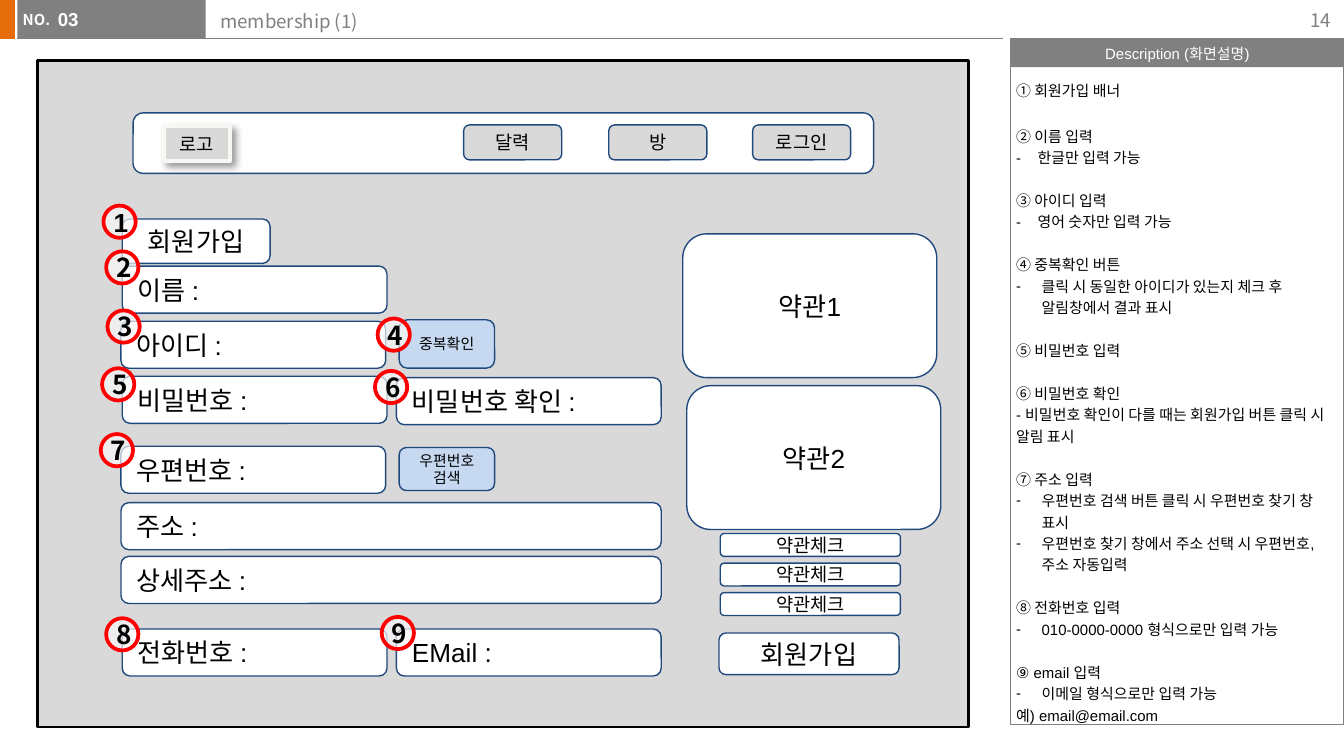
from lxml.etree import SubElement
from pptx import Presentation
from pptx.dml.color import RGBColor
from pptx.enum.shapes import MSO_CONNECTOR, MSO_SHAPE as SHAPE
from pptx.enum.text import MSO_ANCHOR as ANCHOR, MSO_AUTO_SIZE, PP_ALIGN as ALIGN
from pptx.oxml.ns import qn
from pptx.util import Inches, Pt

WHITE = RGBColor(0xFF, 0xFF, 0xFF)
BLACK = RGBColor(0, 0, 0)
GRAY = RGBColor(0x80, 0x80, 0x80)
LIGHT_GRAY = RGBColor(0xD9, 0xD9, 0xD9)
ORANGE = RGBColor(0xE4, 0x6C, 0x0A)
NAVY = RGBColor(0x1F, 0x49, 0x7D)
PALE_BLUE = RGBColor(0xC6, 0xD9, 0xF1)
RED = RGBColor(0xFF, 0, 0)
OFF_WHITE = RGBColor(0xF8, 0xF8, 0xF8)
CREAM = RGBColor(0xF8, 0xF7, 0xF3)
SANS, KOREAN = "Arial", "Noto Sans CJK KR"

WIDE = 10
TALL = WIDE * 9 / 16
HEADER = 0.29
PANEL_LEFT, PANEL_WIDTH = 7.52, 2.48

PLAIN, TABBED, BULLET = 0, 0.16, 0.19
DESCRIPTION = [
    [("① 회원가입 배너", PLAIN)],
    [("② 이름 입력", PLAIN), ("-\t한글만 입력 가능", TABBED)],
    [("③ 아이디 입력", PLAIN), ("-\t영어 숫자만 입력 가능", TABBED)],
    [("④ 중복확인 버튼", PLAIN),
     ("클릭 시 동일한 아이디가 있는지 체크 후 알림창에서 결과 표시", BULLET)],
    [("⑤ 비밀번호 입력", PLAIN)],
    [("⑥ 비밀번호 확인", PLAIN),
     ("- 비밀번호 확인이 다를 때는 회원가입 버튼 클릭 시 알림 표시", PLAIN)],
    [("⑦ 주소 입력", PLAIN),
     ("우편번호 검색 버튼 클릭 시 우편번호 찾기 창 표시", BULLET),
     ("우편번호 찾기 창에서 주소 선택 시 우편번호, 주소 자동입력", BULLET)],
    [("⑧ 전화번호 입력", PLAIN), ("010-0000-0000 형식으로만 입력 가능", BULLET)],
    [("⑨ email 입력", PLAIN), ("이메일 형식으로만 입력 가능", BULLET),
     ("예) email@email.com", PLAIN)],
]
MENU = [("달력", 3.45), ("방", 4.53), ("로그인", 5.6)]
FIELD_WIDTH, FULL_WIDTH, FIELD_HEIGHT = 1.97, 4.02, 0.35
FIELDS = [
    ("이름 :", 0.91, 1.98, FIELD_WIDTH), ("아이디 :", 0.9, 2.39, FIELD_WIDTH),
    ("비밀번호 :", 0.91, 2.8, FIELD_WIDTH), ("비밀번호 확인 :", 2.95, 2.81, FIELD_WIDTH),
    ("우편번호 :", 0.9, 3.32, FIELD_WIDTH), ("주소 :", 0.9, 3.74, FULL_WIDTH),
    ("상세주소 :", 0.9, 4.14, FULL_WIDTH), ("전화번호 :", 0.91, 4.68, FIELD_WIDTH),
    ("EMail :", 2.95, 4.68, FIELD_WIDTH),
]
BUTTONS = [
    ("회원가입", (0.91, 1.63, 1.1, 0.33), 14, WHITE),
    ("회원가입", (5.35, 4.71, 1.34, 0.31), 14, WHITE),
    ("약관1", (5.08, 1.74, 1.89, 1.07), 14, WHITE),
    ("약관2", (5.11, 2.87, 1.89, 1.07), 14, WHITE),
    ("중복확인", (2.97, 2.38, 0.71, 0.36), 8, PALE_BLUE),
    ("우편번호 검색", (2.97, 3.33, 0.71, 0.32), 8, PALE_BLUE),
]
TERMS_TOP, TERMS_STEP, TERMS_COUNT = 3.97, 0.22, 3
BADGES = [(0.77, 1.53), (0.79, 1.87), (0.8, 2.31), (2.81, 2.37), (0.76, 2.74),
          (2.79, 2.76), (0.75, 3.23), (0.79, 4.6), (2.84, 4.59)]
BADGE_SIZE = 0.24

deck = Presentation()
deck.slide_width, deck.slide_height = Inches(WIDE), Inches(TALL)
page = deck.slides.add_slide(deck.slide_layouts[3])


def style(paragraph, size, font=SANS, color=BLACK, bold=False, align=ALIGN.LEFT):
    paragraph.alignment = align
    for span in paragraph.runs:
        span.font.size, span.font.name, span.font.bold = Pt(size), font, bold
        span.font.color.rgb = color


def set_frame(box, insets=(0.1, 0.05, 0.1, 0.05), anchor=ANCHOR.TOP, wrap=True):
    frame = box.text_frame
    frame.auto_size, frame.word_wrap = MSO_AUTO_SIZE.NONE, wrap
    frame.vertical_anchor = anchor
    (frame.margin_left, frame.margin_top,
     frame.margin_right, frame.margin_bottom) = map(Inches, insets)
    return frame


def place(box, area):
    box.left, box.top, box.width, box.height = map(Inches, area)


def write(box, text, size, **look):
    box.text_frame.text = text
    style(box.text_frame.paragraphs[0], size, **look)


def set_indent(paragraph, indent):
    properties = paragraph._p.get_or_add_pPr()
    properties.set("marL", str(Inches(indent)))
    properties.set("indent", str(-Inches(indent)))
    if indent == BULLET:
        SubElement(properties, qn("a:buChar")).set("char", "-")
    else:
        SubElement(properties, qn("a:buNone"))


def add_box(area, fill=None, line=None, weight=0.75, kind=SHAPE.RECTANGLE):
    box = page.shapes.add_shape(kind, *map(Inches, area))
    box.shadow.inherit = False
    if fill is None:
        box.fill.background()
    else:
        box.fill.solid()
        box.fill.fore_color.rgb = fill
    if line is None:
        box.line.fill.background()
    else:
        box.line.color.rgb = line
        box.line.width = Pt(weight)
    return box


def add_control(text, area, size, fill=WHITE, align=ALIGN.CENTER):
    box = add_box(area, fill, NAVY, kind=SHAPE.ROUNDED_RECTANGLE)
    set_frame(box, (0.1,) * 4, ANCHOR.MIDDLE)
    write(box, text, size, align=align)


def add_label(text, area, size, **look):
    box = page.shapes.add_textbox(*map(Inches, area))
    write(box, text, size, font=KOREAN, **look)
    return box


def add_badge(number, left, top):
    badge = add_box((left, top, BADGE_SIZE, BADGE_SIZE), OFF_WHITE, RED, 2, SHAPE.OVAL)
    color = badge._element.spPr.find(qn("a:solidFill"))[0]
    SubElement(color, qn("a:alpha")).set("val", "70000")
    set_frame(badge, (0.04, 0.05, 0.04, 0.05), ANCHOR.MIDDLE)
    write(badge, str(number), 14, font=SANS if number == 1 else KOREAN,
          bold=True, align=ALIGN.CENTER)


def add_logo():
    logo = add_box((1.22, 0.94, 0.49, 0.26), LIGHT_GRAY, CREAM, 2)
    effects = logo._element.spPr.find(qn("a:effectLst"))
    shadow = SubElement(effects, qn("a:outerShdw"), blurRad=str(Pt(4)),
                        dist=str(Pt(3)), dir="2700000", algn="tl", rotWithShape="0")
    color = SubElement(shadow, qn("a:srgbClr"), val="000000")
    SubElement(color, qn("a:alpha"), val="40000")
    set_frame(logo, anchor=ANCHOR.MIDDLE)
    write(logo, "로고", 10, font=KOREAN, align=ALIGN.CENTER)


def add_header():
    add_box((-0.01, 0, 0.12, HEADER), ORANGE)
    rule = page.shapes.add_connector(
        MSO_CONNECTOR.STRAIGHT, *map(Inches, (0.13, HEADER, 7.46, HEADER)))
    rule.line.color.rgb, rule.line.width = GRAY, Pt(0.5)
    SubElement(rule._element.spPr, qn("a:effectLst"))
    add_box((0.13, 0, 1.4, HEADER), GRAY)
    label = add_label("NO.", (0.07, 0.03, 0.41, 0.24), 8, color=WHITE, bold=True)
    set_frame(label, wrap=False)
    heading = add_box((PANEL_LEFT, HEADER, PANEL_WIDTH, 0.21), GRAY)
    set_frame(heading, (0.09, 0.04, 0.09, 0.04), ANCHOR.MIDDLE, wrap=False)
    write(heading, "Description (화면설명)", 8, color=WHITE, align=ALIGN.CENTER)
    add_box((PANEL_LEFT, HEADER, PANEL_WIDTH, 5.1), line=GRAY)


def fill_placeholders():
    title, description, number = page.placeholders
    for box in (description, title, number):
        page.shapes._spTree.append(box._element)

    place(title, (1.54, 0.02, 5.91, 0.32))
    set_frame(title)
    write(title, "membership (1)", 10, font=KOREAN, color=GRAY)

    place(number, (0.43, 0.01, 1.1, 0.31))
    frame = set_frame(number, (0, 0.05, 0, 0.05))
    write(number, "03", 10, color=WHITE, bold=True)
    set_indent(frame.paragraphs[0], PLAIN)

    place(description, (PANEL_LEFT, 0.53, PANEL_WIDTH, 4.88))
    frame = set_frame(description, (0.04, 0.05, 0, 0.05))
    lines = [(text, indent, group if row == 0 else 0)
             for group, entries in enumerate(DESCRIPTION)
             for row, (text, indent) in enumerate(entries)]
    frame.text = "\n".join(text for text, _, _ in lines)
    for paragraph, (_, indent, group) in zip(frame.paragraphs, lines):
        paragraph.line_spacing = 1.2
        paragraph.space_before = Pt({0: 0, 1: 13}.get(group, 11.5))
        set_indent(paragraph, indent)
        style(paragraph, 8)


add_header()
fill_placeholders()

add_box((0.28, 0.45, 6.93, 4.96), LIGHT_GRAY, BLACK, 1.5)
page_number = add_label("14", (9.4, 0, 0.6, 0.3), 10, color=GRAY, align=ALIGN.RIGHT)
set_frame(page_number, anchor=ANCHOR.MIDDLE)
add_box((0.99, 0.84, 5.51, 0.45), WHITE, NAVY, kind=SHAPE.ROUNDED_RECTANGLE)
for text, left in MENU:
    add_control(text, (left, 0.93, 0.73, 0.26), 10, LIGHT_GRAY)
add_logo()
for text, left, top, width in FIELDS:
    add_control(text, (left, top, width, FIELD_HEIGHT), 14, align=ALIGN.LEFT)
for text, area, size, fill in BUTTONS:
    add_control(text, area, size, fill)
for row in range(TERMS_COUNT):
    add_control("약관체크", (5.36, TERMS_TOP + row * TERMS_STEP, 1.34, 0.17), 10)
for number, (left, top) in enumerate(BADGES, 1):
    add_badge(number, left, top)

deck.save("out.pptx")
